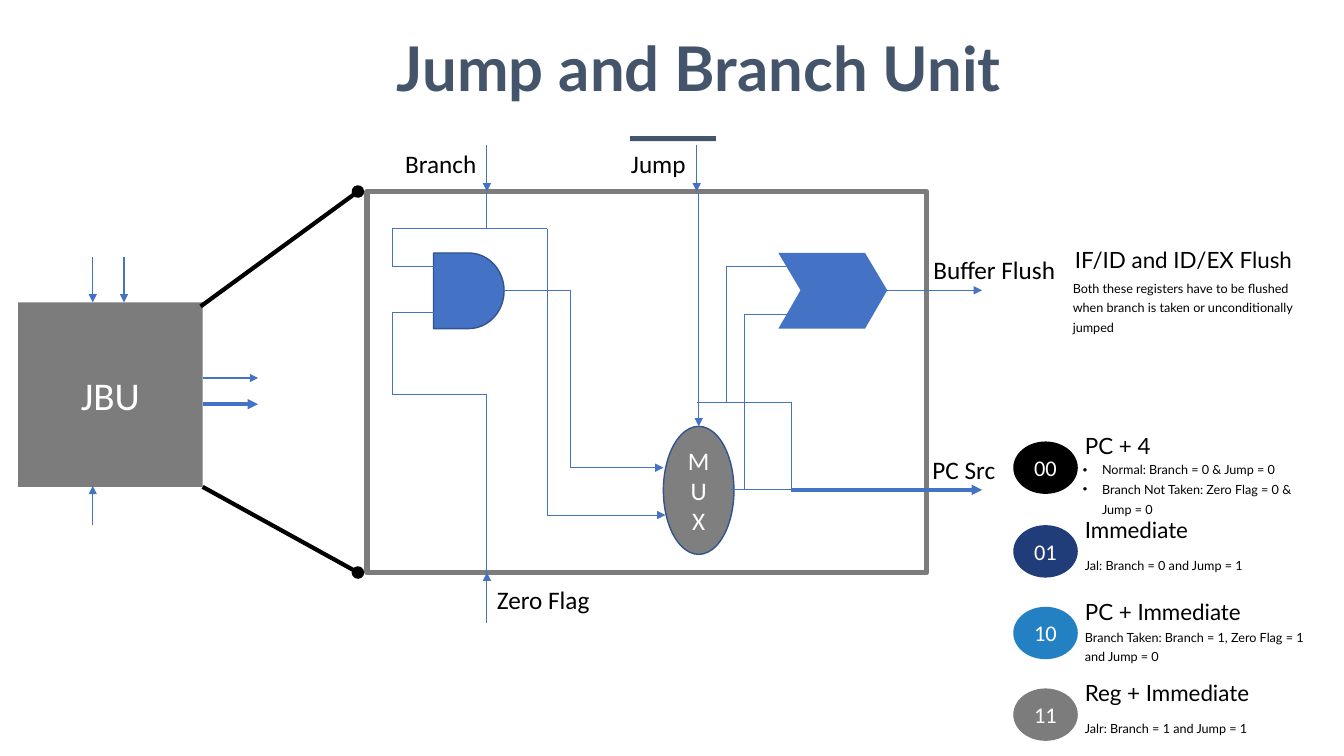
from dataclasses import dataclass

from lxml import etree
from pptx import Presentation
from pptx.dml.color import RGBColor
from pptx.enum.shapes import MSO_CONNECTOR, MSO_SHAPE
from pptx.enum.text import MSO_ANCHOR, MSO_AUTO_SIZE, PP_ALIGN
from pptx.oxml.ns import qn
from pptx.util import Pt

PX = 9144
LEFT, CENTER = PP_ALIGN.LEFT, PP_ALIGN.CENTER
TOP, MIDDLE = MSO_ANCHOR.TOP, MSO_ANCHOR.MIDDLE
FIXED = MSO_AUTO_SIZE.NONE
RECT, OVAL, DELAY = MSO_SHAPE.RECTANGLE, MSO_SHAPE.OVAL, MSO_SHAPE.FLOWCHART_DELAY
STRAIGHT = MSO_CONNECTOR.STRAIGHT

BLACK = RGBColor(0x00, 0x00, 0x00)
WHITE = RGBColor(0xFF, 0xFF, 0xFF)
SLATE = RGBColor(0x44, 0x54, 0x6A)
BLUE = RGBColor(0x44, 0x72, 0xC4)
GATE_EDGE = RGBColor(0x31, 0x53, 0x8F)
GRAY = RGBColor(0x7C, 0x7C, 0x7C)
MUX_GRAY = RGBColor(0x7F, 0x7F, 0x7F)
NAVY = RGBColor(0x21, 0x3D, 0x79)
SKY = RGBColor(0x23, 0x81, 0xC3)

Box = tuple[int, int, int, int]
Point = tuple[int, int]


@dataclass(frozen=True)
class Style:
    font: str
    size: int
    color: RGBColor
    align: PP_ALIGN = LEFT
    anchor: MSO_ANCHOR = MIDDLE
    inset: Point = (5, 2)
    spacing: float = 1.0
    bold: bool = False
    wrap: bool = True


@dataclass(frozen=True)
class Block:
    kind: int
    box: Box
    fill: RGBColor
    edge: RGBColor | None = None
    weight: float = 1
    lines: tuple[str, ...] = ()
    size: int = 18


@dataclass(frozen=True)
class Wire:
    points: tuple[Point, ...]
    end: str = ""
    weight: float = 0.75
    color: RGBColor = BLUE


@dataclass(frozen=True)
class Text:
    box: Box
    line: str
    style: Style


@dataclass(frozen=True)
class Mode:
    code: str
    color: RGBColor
    name: str
    top: int
    note: str
    note_top: int
    note_height: int


TITLE = Style("Lato", 44, SLATE, CENTER, TOP, bold=True)
LABEL = Style("Calibri", 18, BLACK, anchor=TOP, inset=(10, 5), wrap=False)
HEADING = Style("Lato", 16, BLACK, inset=(5, 0))
NOTE = Style("Lato", 9, BLACK, anchor=TOP, spacing=1.3)

BLOCKS = (
    Block(RECT, (18, 300, 183, 183), GRAY, lines=("JBU",), size=28),
    Block(RECT, (364, 190, 555, 378), WHITE, GRAY, 4),
    Block(DELAY, (430, 251, 70, 75), BLUE, GATE_EDGE),
    Block(OVAL, (658, 423, 70, 127), MUX_GRAY, GATE_EDGE, lines=("M", "U", "X")),
    Block(RECT, (625, 135, 85, 5), SLATE),
)
OR_GATE = ((858, 251), (772, 251), (794, 288), (772, 326), (858, 326), (880, 288))

WIRES = (
    Wire(((201, 401), (256, 401)), "triangle", 2.5),
    Wire(((201, 375), (256, 375)), "triangle"),
    Wire(((92, 255), (92, 300)), "triangle"),
    Wire(((123, 255), (123, 300)), "triangle"),
    Wire(((92, 521), (92, 482)), "triangle"),
    Wire(((199, 304), (355, 190)), "oval", 3, BLACK),
    Wire(((201, 483), (355, 568)), "oval", 3, BLACK),
    Wire(((483, 144), (483, 190)), "triangle"),
    Wire(((483, 190), (483, 227), (389, 227), (389, 264), (430, 264))),
    Wire(((483, 227), (543, 227), (543, 511), (660, 511)), "triangle"),
    Wire(((483, 618), (483, 568)), "triangle"),
    Wire(((483, 568), (483, 391), (389, 391), (389, 310), (430, 310))),
    Wire(((500, 288), (566, 288), (566, 464), (658, 464)), "triangle"),
    Wire(((691, 144), (691, 190)), "triangle"),
    Wire(((693, 190), (693, 423)), "triangle"),
    Wire(((691, 399), (785, 399), (785, 486), (725, 486))),
    Wire(((721, 399), (721, 264), (785, 264))),
    Wire(((738, 486), (738, 312), (785, 312))),
    Wire(((880, 288), (919, 288), (974, 288)), "triangle"),
    Wire(((785, 486), (918, 486), (974, 486)), "triangle", 2.5),
)

TEXTS = (
    Text((392, 142, 92, 40), "Branch", LABEL),
    Text((616, 142, 75, 40), "Jump", LABEL),
    Text((483, 575, 113, 40), "Zero Flag", LABEL),
    Text((915, 446, 83, 40), "PC Src", LABEL),
    Text((916, 247, 143, 40), "Buffer Flush", LABEL),
    Text((1061, 244, 231, 27), "IF/ID and ID/EX Flush", HEADING),
    Text((1059, 272, 231, 63), "Both these registers have to be flushed when branch is taken "
         "or unconditionally jumped", NOTE),
)
MODES = (
    Mode("00", BLACK, "PC + 4", 429, "", 452, 63),
    Mode("01", NAVY, "Immediate", 512, "Jal: Branch = 0 and Jump = 1", 547, 23),
    Mode("10", SKY, "PC + Immediate", 593,
         "Branch Taken: Branch = 1, Zero Flag = 1 and Jump = 0", 618, 43),
    Mode("11", GRAY, "Reg + Immediate", 674, "Jalr: Branch = 1 and Jump = 1", 709, 23),
)
NEXT_PC_CASES = ("Normal: Branch = 0 & Jump = 0",
                 "Branch Not Taken: Zero Flag = 0 & Jump = 0")


def emu(lengths) -> list[int]:
    return [n * PX for n in lengths]


def write(shape, lines: tuple[str, ...], style: Style) -> None:
    tf = shape.text_frame
    tf.auto_size, tf.word_wrap, tf.vertical_anchor = FIXED, style.wrap, style.anchor
    tf.margin_left = tf.margin_right = style.inset[0] * PX
    tf.margin_top = tf.margin_bottom = style.inset[1] * PX
    for i, line in enumerate(lines):
        p = tf.add_paragraph() if i else tf.paragraphs[0]
        p.alignment, p.line_spacing = style.align, style.spacing
        p.space_before = Pt(0)
        r = p.add_run()
        r.text = line
        r.font.name, r.font.size, r.font.bold = style.font, Pt(style.size), style.bold
        r.font.color.rgb = style.color


def place(shape, box: Box) -> None:
    shape.left, shape.top, shape.width, shape.height = emu(box)


def paint(shape, fill: RGBColor, edge: RGBColor | None = None, weight: float = 1) -> None:
    shape.shadow.inherit = False
    shape.fill.solid()
    shape.fill.fore_color.rgb = fill
    if edge is None:
        shape.line.fill.background()
    else:
        shape.line.color.rgb, shape.line.width = edge, Pt(weight)


def draw_block(s, block: Block) -> None:
    sp = s.shapes.add_shape(block.kind, *emu(block.box))
    paint(sp, block.fill, block.edge, block.weight)
    if block.lines:
        write(sp, block.lines, Style("Calibri", block.size, WHITE, CENTER, inset=(0, 0)))


def draw_wire(s, wire: Wire) -> None:
    for start, stop in zip(wire.points, wire.points[1:]):
        c = s.shapes.add_connector(STRAIGHT, *emu(start + stop))
        c.line.color.rgb, c.line.width = wire.color, Pt(wire.weight)
        etree.SubElement(c._element.spPr, qn("a:effectLst"))
        if wire.end and stop == wire.points[-1]:
            etree.SubElement(c.line._get_or_add_ln(), qn("a:tailEnd"), type=wire.end)


def draw_text(s, text: Text) -> None:
    write(s.shapes.add_textbox(*emu(text.box)), (text.line,), text.style)


def draw_mode(s, mode: Mode) -> None:
    draw_block(s, Block(OVAL, (1005, mode.top + 9, 64, 52), mode.color,
                        lines=(mode.code,), size=16))
    draw_text(s, Text((1071, mode.top, 231, 27), mode.name, HEADING))
    if mode.note:
        draw_text(s, Text((1071, mode.note_top, 231, mode.note_height), mode.note, NOTE))


def main() -> None:
    prs = Presentation()
    prs.slide_width, prs.slide_height = emu((1333, 750))
    s = prs.slides.add_slide(prs.slide_layouts[1])
    title, cases = s.placeholders
    place(title, (357, 28, 673, 79))
    write(title, ("Jump and Branch Unit",), TITLE)
    place(cases, (1069, MODES[0].note_top, 231, MODES[0].note_height))
    write(cases, NEXT_PC_CASES, NOTE)
    for p in cases.text_frame.paragraphs:
        pPr = p._p.get_or_add_pPr()
        pPr.set("marL", str(19 * PX))
        pPr.set("indent", str(-19 * PX))
        etree.SubElement(pPr, qn("a:buChar"), char="•")
    for block in BLOCKS:
        draw_block(s, block)
    outline = s.shapes.build_freeform(*OR_GATE[0], scale=PX)
    outline.add_line_segments(OR_GATE[1:], close=True)
    paint(outline.convert_to_shape(), BLUE)
    for wire in WIRES:
        draw_wire(s, wire)
    for text in TEXTS:
        draw_text(s, text)
    for mode in MODES:
        draw_mode(s, mode)
    prs.save("out.pptx")


if __name__ == "__main__":
    main()
